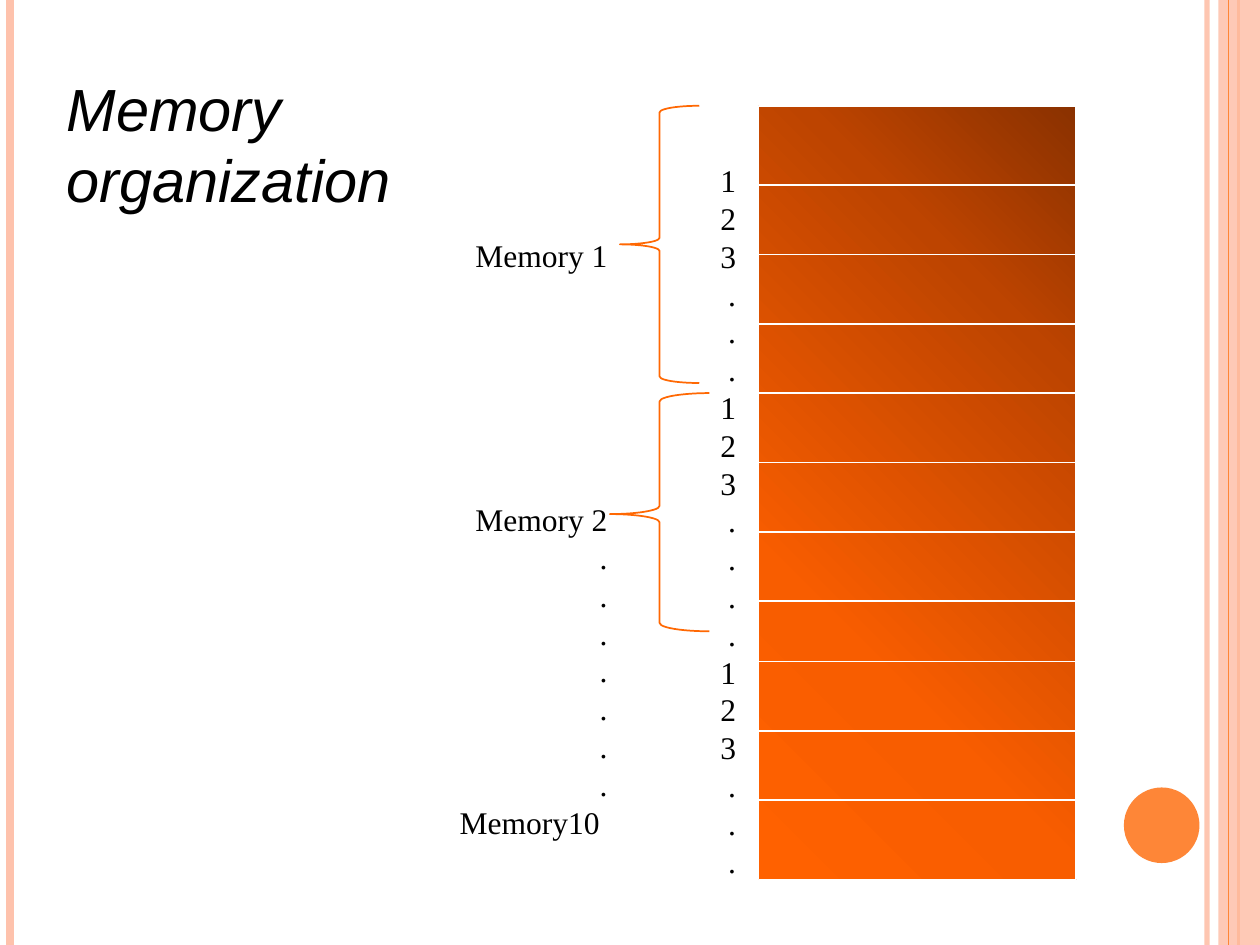
from pptx import Presentation, oxml, util as u
from pptx.dml.color import RGBColor
from pptx.enum import shapes, text
from pptx.oxml import ns

WHITE = RGBColor(0xFF, 0xFF, 0xFF)
BLACK = RGBColor(0x00, 0x00, 0x00)
PEACH = RGBColor(0xFE, 0xC2, 0xAC)
ORANGE = RGBColor(0xFE, 0x86, 0x37)
BRACE = RGBColor(0xFF, 0x68, 0x03)
BANK_STOPS = [
    (0, RGBColor(0xFF, 0x61, 0x00)),
    (30, RGBColor(0xF8, 0x5D, 0x00)),
    (75, RGBColor(0xBD, 0x44, 0x00)),
    (100, RGBColor(0x8A, 0x31, 0x00)),
]
PITCH = 1.2
ROW = 0.3


def set_alpha(el, percent):
    clr = next(el.iter(ns.qn("a:srgbClr")))
    oxml.parse_xml
    alpha = clr.makeelement(ns.qn("a:alpha"), {"val": str(percent * 1000)})
    clr.append(alpha)


def add_line(s, x1, y1, x2, y2, color, width):
    cn = s.shapes.add_connector(
        shapes.MSO_CONNECTOR.STRAIGHT,
        u.Inches(x1), u.Inches(y1), u.Inches(x2), u.Inches(y2))
    cn.line.color.rgb = color
    cn.line.width = u.Pt(width)
    spPr = cn._element.spPr
    spPr.append(spPr.makeelement(ns.qn("a:effectLst"), {}))
    return cn


def add_box(s, kind, x, y, w, h, fill=None, line=None):
    sp = s.shapes.add_shape(
        kind, u.Inches(x), u.Inches(y), u.Inches(w), u.Inches(h))
    sp.shadow.inherit = False
    if fill is None:
        sp.fill.background()
    else:
        sp.fill.solid()
        sp.fill.fore_color.rgb = fill
    if line is None:
        sp.line.fill.background()
    else:
        sp.line.color.rgb = line
        sp.line.width = u.Pt(1)
    return sp


def add_run(p, words, size, font, italic=False):
    p.line_spacing = u.Pt(PITCH * size)
    r = p.add_run()
    r.text = words
    r.font.size = u.Pt(size)
    r.font.name = font
    r.font.italic = italic
    r.font.color.rgb = BLACK


def add_frame(s, h):
    cn = add_line(s, 9.58, 0, 9.58, h, PEACH, 3)
    set_alpha(cn._element.spPr, 93)
    add_line(s, 0.08, 0, 0.08, h, PEACH, 4.5)
    add_line(s, 9.83, 0, 9.83, h, ORANGE, 1.5)
    sp = add_box(s, shapes.MSO_SHAPE.RECTANGLE, 9.67, 0, 0.33, h, PEACH)
    set_alpha(sp._element.spPr, 87)
    add_line(s, 9.75, 0, 9.75, h, ORANGE, 0.75)
    add_box(s, shapes.MSO_SHAPE.OVAL, 8.92, 6.25, 0.6, 0.6, ORANGE)


def add_title(s, x, y, w, h):
    sp = s.shapes.title
    sp.left, sp.top, sp.width, sp.height = map(u.Inches, (x, y, w, h))
    tf = sp.text_frame
    tf.word_wrap = True
    tf.auto_size = text.MSO_AUTO_SIZE.NONE
    tf.vertical_anchor = text.MSO_ANCHOR.TOP
    p = tf.paragraphs[0]
    p.alignment = text.PP_ALIGN.LEFT
    add_run(p, "Memory organization", 34, "Arial", italic=True)


def add_bank(s, x, y, w, h):
    sp = add_box(s, shapes.MSO_SHAPE.RECTANGLE, x, y, w, h, WHITE, WHITE)
    stops = "".join(
        f'<a:gs pos="{pos * 1000}"><a:srgbClr val="{color}"/></a:gs>'
        for pos, color in BANK_STOPS)
    grad = oxml.parse_xml(
        f'<a:gradFill {ns.nsdecls("a")} rotWithShape="1">'
        f'<a:gsLst>{stops}</a:gsLst><a:path path="circle">'
        '<a:fillToRect l="0" t="100000" r="100000" b="0"/>'
        '</a:path></a:gradFill>')
    spPr = sp._element.spPr
    spPr.replace(spPr.find(ns.qn("a:solidFill")), grad)
    for first, count in ((0.63, 7), (4.41, 3)):
        for i in range(count):
            row_y = y + first + 0.55 * i
            add_line(s, x, row_y, x + w, row_y, WHITE, 1)


def add_brace(s, x, y, w, h, middle):
    sp = add_box(s, shapes.MSO_SHAPE.LEFT_BRACE, x, y, w, h, line=BRACE)
    sp.adjustments[0] = 0.083
    sp.adjustments[1] = middle


def add_labels(s, x, y, w, h, labels, skip=0, gaps=None):
    tb = s.shapes.add_textbox(
        u.Inches(x), u.Inches(y), u.Inches(w), u.Inches(h))
    tf = tb.text_frame
    tf.word_wrap = True
    tf.margin_top = u.Inches(0.05 + ROW * skip)
    for i, label in enumerate(labels):
        p = tf.paragraphs[0] if i == 0 else tf.add_paragraph()
        p.alignment = text.PP_ALIGN.RIGHT
        if gaps and label in gaps:
            p.space_before = u.Inches(ROW * gaps[label])
        add_run(p, label, 18, "Times New Roman")


def main():
    prs = Presentation()
    prs.slide_width, prs.slide_height = u.Inches(10), u.Inches(7.5)
    s = prs.slides.add_slide(prs.slide_layouts[5])
    add_frame(s, 7.5)
    add_title(s, 0.43, 0.52, 4.57, 0.98)
    add_bank(s, 6.02, 0.84, 2.52, 6.14)
    cells = [c for dots in (3, 4, 3) for c in "123" + "." * dots]
    add_labels(s, 4.92, 1.23, 1.02, 6.16, cells)
    add_brace(s, 4.92, 0.84, 0.63, 2.2, 0.5)
    add_brace(s, 4.84, 3.12, 0.79, 1.89, 0.508)
    names = ["Memory 1", "Memory 2", *"." * 7, "Memory10 "]
    add_labels(s, 3.27, 0.92, 1.65, 5.86, names, skip=3, gaps={"Memory 2": 6})
    prs.save("out.pptx")


if __name__ == "__main__":
    main()
